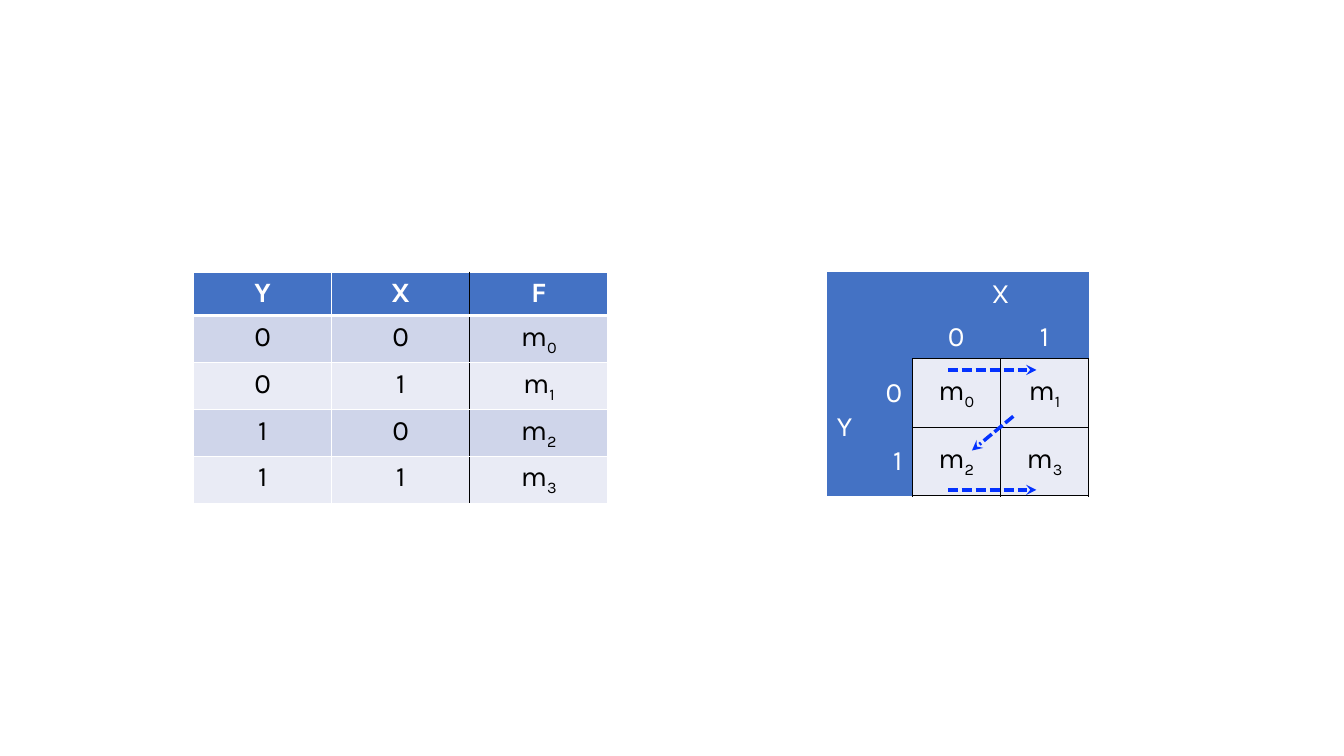
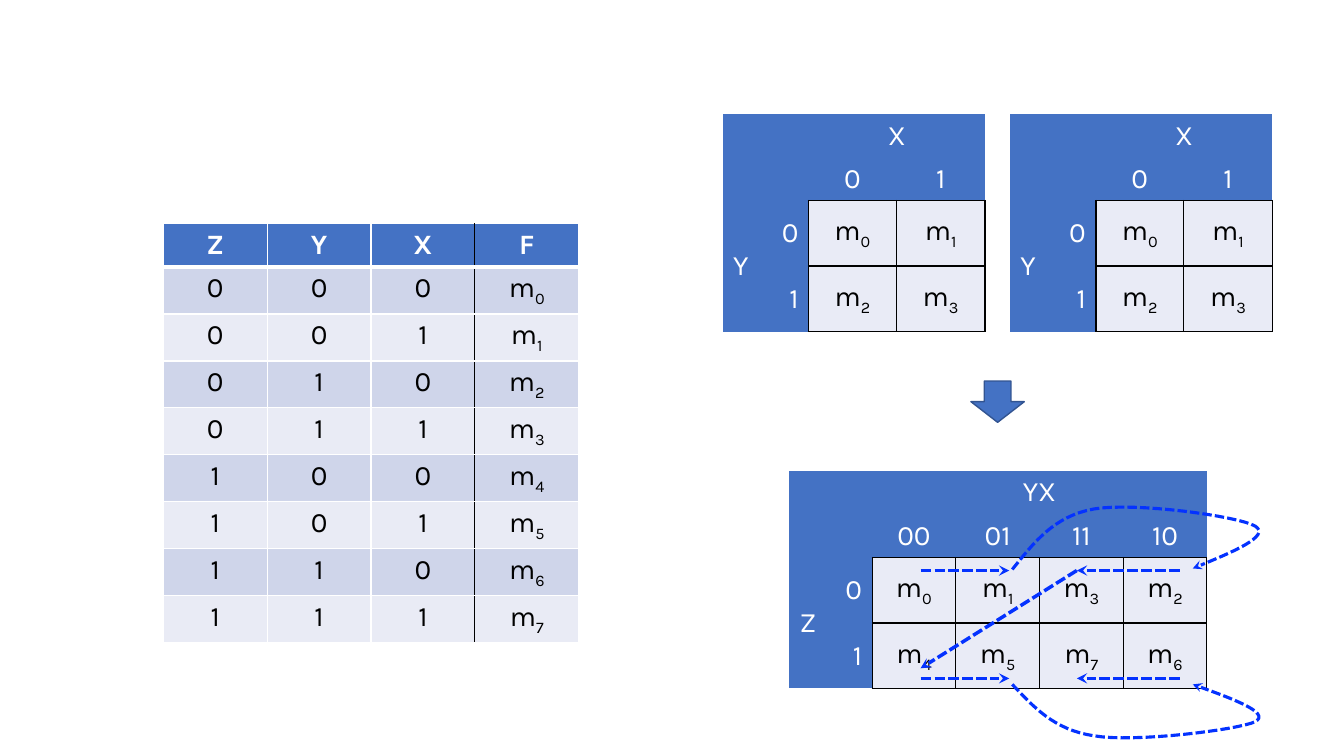
"""Build two slides of truth tables and Karnaugh maps."""
import itertools

import lxml.etree
import pptx
import pptx.dml.color
import pptx.enum.dml
import pptx.enum.shapes
import pptx.enum.text
import pptx.oxml.ns
import pptx.util

Inches = pptx.util.Inches
Pt = pptx.util.Pt
RGB = pptx.dml.color.RGBColor
Shape = pptx.enum.shapes.MSO_SHAPE
Align = pptx.enum.text.PP_ALIGN
Anchor = pptx.enum.text.MSO_ANCHOR
qn = pptx.oxml.ns.qn

WHITE = RGB(0xFF, 0xFF, 0xFF)
BLACK = RGB(0x00, 0x00, 0x00)
BLUE = RGB(0x44, 0x72, 0xC4)
NAVY = RGB(0x32, 0x54, 0x91)
INK = RGB(0x04, 0x32, 0xFF)
DARK = RGB(0xCF, 0xD5, 0xEA)
LIGHT = RGB(0xE9, 0xEB, 0xF5)
PALE = RGB(0xE9, 0xEB, 0xF6)
FONT = "Karla"
PLAIN = "{2D5ABB26-0587-4C30-8999-92F81FD0307C}"

HEAD, ROW = 0.43, 0.46
PAIR = {
    "top": "X", "side": "Y", "cols": ["0", "1"],
    "rows": [["m0", "m1"], ["m2", "m3"]],
    "wide": [0.43, 0.42, 0.87, 0.88],
}
QUAD = {
    "top": "YX", "side": "Z", "cols": ["00", "01", "11", "10"],
    "rows": [["m0", "m1", "m3", "m2"], ["m4", "m5", "m7", "m6"]],
    "wide": [0.43, 0.39, 0.83, 0.83, 0.83, 0.83],
}
SLIDES = [
    {
        "truth": (1.92, 2.7, "YX"),
        "maps": [(8.2, 2.7, PAIR, 0.68, LIGHT)],
        "arrows": [
            (9.4, 3.67, 10.28, 3.67),
            (9.4, 4.86, 10.28, 4.86),
            (10.05, 4.13, 9.64, 4.47),
        ],
        "down": [],
        "curves": [],
    },
    {
        "truth": (1.62, 2.22, "ZYX"),
        "maps": [
            (7.17, 1.13, PAIR, 0.65, PALE),
            (10.02, 1.13, PAIR, 0.65, PALE),
            (7.83, 4.67, QUAD, 0.65, PALE),
        ],
        "arrows": [
            (9.13, 5.66, 10.01, 5.66),
            (9.13, 6.73, 10.01, 6.73),
            (10.68, 5.66, 9.13, 6.63),
            (11.7, 5.66, 10.68, 5.66),
            (11.7, 6.73, 10.68, 6.73),
        ],
        "down": [(9.63, 3.78, 0.53, 0.41)],
        "curves": [
            [(10.04, 5.65), (10.25, 5.39), (10.45, 5.12), (10.85, 5.05),
             (11.25, 4.98), (12.28, 5.12), (12.45, 5.22),
             (12.61, 5.32), (12.22, 5.48), (11.83, 5.64)],
            [(10.04, 6.79), (10.25, 7.01), (10.45, 7.24), (10.85, 7.3),
             (11.25, 7.37), (12.28, 7.24), (12.45, 7.16),
             (12.61, 7.07), (12.22, 6.93), (11.83, 6.79)],
        ],
    },
]


def add_grid(slide, left, top, wide, high):
    """Add an unstyled table with the given column widths and row heights."""
    frame = slide.shapes.add_table(
        len(high), len(wide), Inches(left), Inches(top),
        Inches(sum(wide)), Inches(sum(high)))
    table = frame.table
    table.first_row = table.horz_banding = False
    table._tbl.tblPr.find(qn("a:tableStyleId")).text = PLAIN
    for col, size in zip(table.columns, wide):
        col.width = Inches(size)
    for row, size in zip(table.rows, high):
        row.height = Inches(size)
    return table


def dress(cell, fill, edges):
    """Set the borders of a cell, then its fill."""
    props = cell._tc.get_or_add_tcPr()
    for side in "LRTB":
        if side in edges:
            color, width = edges[side]
            line = lxml.etree.SubElement(
                props, qn("a:ln" + side), w=str(Pt(width)))
            solid = lxml.etree.SubElement(line, qn("a:solidFill"))
            lxml.etree.SubElement(solid, qn("a:srgbClr"), val=str(color))
    cell.fill.solid()
    cell.fill.fore_color.rgb = fill


def write(cell, text, color, anchor, align=Align.CENTER, bold=False):
    """Write a label, with the index of a minterm as subscript."""
    cell.vertical_anchor = anchor
    para = cell.text_frame.paragraphs[0]
    para.alignment = align
    font = para.font
    font.name, font.size, font.bold = FONT, Pt(20), bold
    font.color.rgb = color
    if text.startswith("m"):
        para.add_run().text = "m"
        index = para.add_run()
        index.text = text[1:]
        index._r.get_or_add_rPr().set("baseline", "-25000")
    else:
        para.add_run().text = text


def add_truth(slide, left, top, names):
    """Add the truth table for the named inputs."""
    count = len(names)
    bits = itertools.product("01", repeat=count)
    rows = [[*names, "F"]]
    rows += [[*row, f"m{i}"] for i, row in enumerate(bits)]
    wide = [round(4.11 / (count + 1), 2)] * (count + 1)
    high = [HEAD] + [ROW] * (len(rows) - 1)
    table = add_grid(slide, left, top, wide, high)
    for r, row in enumerate(rows):
        fill = BLUE if r == 0 else DARK if r % 2 else LIGHT
        for c, text in enumerate(row):
            edges = {
                "L": (BLACK if c == count else WHITE, 1),
                "R": (BLACK if c == count - 1 else WHITE, 1),
                "T": (WHITE, 3 if r == 1 else 1),
                "B": (WHITE, 3 if r == 0 else 1),
            }
            cell = table.cell(r, c)
            dress(cell, fill, edges)
            write(cell, text, BLACK if r else WHITE, Anchor.TOP, bold=r == 0)


def add_map(slide, left, top, data, tall, fill):
    """Add a Karnaugh map with its axis labels."""
    wide = data["wide"]
    table = add_grid(slide, left, top, wide, [HEAD, HEAD, tall, tall])
    last = len(wide) - 1
    thin = (BLACK, 1)
    for r, c in itertools.product(range(4), range(last + 1)):
        cell = table.cell(r, c)
        if r > 1 and c > 1:
            dress(cell, fill, dict.fromkeys("LRTB", thin))
            write(cell, data["rows"][r - 2][c - 2], BLACK, Anchor.MIDDLE)
        elif r == 1 and c > 1:
            dress(cell, BLUE, {"B": thin})
            write(cell, data["cols"][c - 2], WHITE, Anchor.BOTTOM)
        elif r > 1 and c == 1:
            dress(cell, BLUE, {"R": thin})
            write(cell, str(r - 2), WHITE, Anchor.MIDDLE, Align.RIGHT)
        else:
            dress(cell, BLUE, {})
    table.cell(0, 2).merge(table.cell(0, last))
    table.cell(2, 0).merge(table.cell(3, 0))
    write(table.cell(0, 2), data["top"], WHITE, Anchor.BOTTOM)
    write(table.cell(2, 0), data["side"], WHITE, Anchor.MIDDLE, Align.LEFT)


def dash(line, width):
    """Style a line as a dashed arrow."""
    line.color.rgb = INK
    line.width = Pt(width)
    line.dash_style = pptx.enum.dml.MSO_LINE.SQUARE_DOT
    lxml.etree.SubElement(
        line._get_or_add_ln(), qn("a:tailEnd"), type="stealth")


def add_arrow(slide, *ends):
    """Add a straight dashed arrow."""
    kind = pptx.enum.shapes.MSO_CONNECTOR.STRAIGHT
    arrow = slide.shapes.add_connector(kind, *map(Inches, ends))
    dash(arrow.line, 2.5)
    lxml.etree.SubElement(arrow._element.spPr, qn("a:effectLst"))


def bend(knots, steps=16):
    """Return points along a chain of cubic curves."""
    points = [knots[0]]
    for i in range(0, len(knots) - 1, 3):
        for step in range(1, steps + 1):
            t = step / steps
            u = 1 - t
            parts = (u ** 3, 3 * u * u * t, 3 * u * t * t, t ** 3)
            points.append(tuple(
                sum(p * k for p, k in zip(parts, axis))
                for axis in zip(*knots[i:i + 4])))
    return points


def add_curve(slide, knots):
    """Add a curved dashed arrow."""
    points = [(Inches(x), Inches(y)) for x, y in bend(knots)]
    maker = slide.shapes.build_freeform(*points[0])
    maker.add_line_segments(points[1:], close=False)
    curve = maker.convert_to_shape()
    curve.shadow.inherit = False
    curve.fill.background()
    dash(curve.line, 2.25)


def add_down(slide, *place):
    """Add the block arrow between the maps."""
    arrow = slide.shapes.add_shape(Shape.DOWN_ARROW, *map(Inches, place))
    arrow.shadow.inherit = False
    arrow.fill.solid()
    arrow.fill.fore_color.rgb = BLUE
    arrow.line.color.rgb = NAVY
    arrow.line.width = Pt(1)


def main():
    """Build and save the deck."""
    deck = pptx.Presentation()
    deck.slide_width, deck.slide_height = Inches(13.33), Inches(7.5)
    for page in SLIDES:
        slide = deck.slides.add_slide(deck.slide_layouts[6])
        add_truth(slide, *page["truth"])
        for item in page["maps"]:
            add_map(slide, *item)
        for place in page["down"]:
            add_down(slide, *place)
        for ends in page["arrows"]:
            add_arrow(slide, *ends)
        for knots in page["curves"]:
            add_curve(slide, knots)
    deck.save("out.pptx")


if __name__ == "__main__":
    main()
